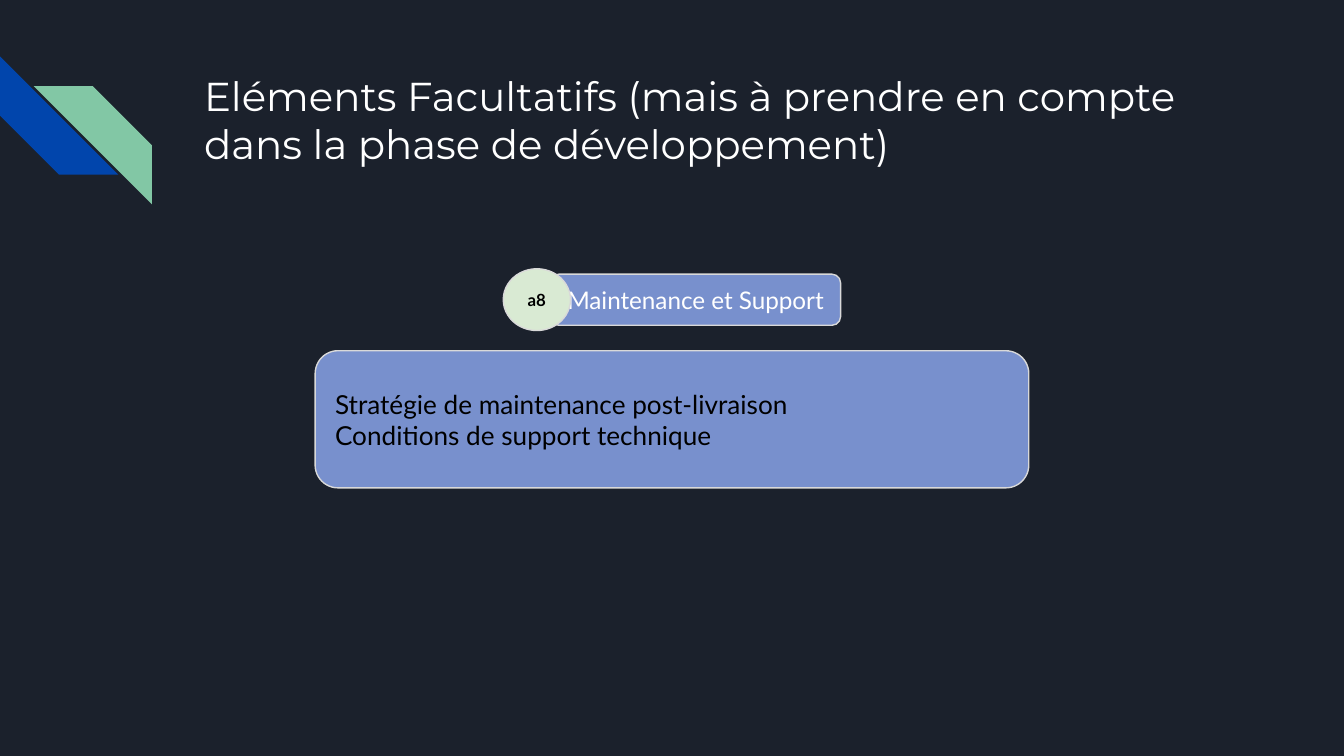
from pptx import Presentation
from pptx.dml.color import RGBColor
from pptx.enum.shapes import MSO_SHAPE as SHAPE
from pptx.enum.text import MSO_ANCHOR as ANCHOR, PP_ALIGN as ALIGN
from pptx.util import Inches, Pt

NIGHT = RGBColor(0x1B, 0x21, 0x2C)
BLUE = RGBColor(0x01, 0x45, 0xAC)
GREEN = RGBColor(0x82, 0xC7, 0xA5)
PERIWINKLE = RGBColor(0x78, 0x90, 0xCD)
MINT = RGBColor(0xD9, 0xEA, 0xD3)
GREY = RGBColor(0xD9, 0xD9, 0xD9)
WHITE = RGBColor(0xFF, 0xFF, 0xFF)
BLACK = RGBColor(0x00, 0x00, 0x00)

WIDTH = 10
HEIGHT = WIDTH * 9 / 16


def add_text(sp, lines, size, color, font="Lato", align=ALIGN.LEFT,
             anchor=ANCHOR.MIDDLE, bold=False):
    tf = sp.text_frame
    tf.word_wrap = True
    tf.vertical_anchor = anchor
    tf.margin_left = tf.margin_right = Inches(0.1)
    tf.margin_top = tf.margin_bottom = Inches(0.1)
    for i, line in enumerate(lines):
        p = tf.paragraphs[0] if i == 0 else tf.add_paragraph()
        p.alignment = align
        r = p.add_run()
        r.text = line
        r.font.name = font
        r.font.size = Pt(size)
        r.font.bold = bold
        r.font.color.rgb = color


def add_shape(s, kind, box, fill, line=None):
    sp = s.shapes.add_shape(kind, *map(Inches, box))
    sp.shadow.inherit = False
    sp.fill.solid()
    sp.fill.fore_color.rgb = fill
    if line is None:
        sp.line.fill.background()
    else:
        sp.line.color.rgb = line
        sp.line.width = Pt(0.75)
    return sp


def add_corner(s, box):
    x, y, w, h = box
    side = 0.88
    stripes = [(x, y, BLUE, 270), (x + w - side, y + h - side, GREEN, 90)]
    for left, top, color, turn in stripes:
        sp = add_shape(s, SHAPE.DIAGONAL_STRIPE, (left, top, side, side), color)
        sp.rotation = turn


def add_title(s, box, text):
    sp = s.shapes.add_textbox(*map(Inches, box))
    add_text(sp, [text], 21.6, WHITE, font="Montserrat", anchor=ANCHOR.TOP)


def add_topic(s, box, code, heading, details):
    x, y, w, h = box
    label_w, label_h = 2.16, 0.38
    badge_w, badge_h = 0.5, 0.46
    body_h = 1.02
    badge_x = x + (w - label_w - 0.35) / 2
    label = add_shape(s, SHAPE.ROUNDED_RECTANGLE,
                      (badge_x + 0.35, y + (badge_h - label_h) / 2, label_w, label_h),
                      PERIWINKLE, GREY)
    add_text(label, [heading], 13, WHITE, align=ALIGN.CENTER)
    badge = add_shape(s, SHAPE.OVAL, (badge_x, y, badge_w, badge_h), MINT, GREY)
    add_text(badge, [code], 9, BLACK, align=ALIGN.CENTER, bold=True)
    body = add_shape(s, SHAPE.ROUNDED_RECTANGLE,
                     (x, y + h - body_h, w, body_h), PERIWINKLE, GREY)
    add_text(body, details, 14, BLACK)


def main():
    prs = Presentation()
    prs.slide_width, prs.slide_height = Inches(WIDTH), Inches(HEIGHT)
    s = prs.slides.add_slide(prs.slide_layouts[6])
    s.background.fill.solid()
    s.background.fill.fore_color.rgb = NIGHT

    add_corner(s, (0, 0.42, 1.13, 1.1))
    add_title(s, (1.42, 0.43, 7.7, 1),
              "Eléments Facultatifs (mais à prendre en compte "
              "dans la phase de développement)")
    topic_w = 5.31
    add_topic(s, ((WIDTH - topic_w) / 2, 2, topic_w, 1.63), "a8",
              "Maintenance et Support",
              ["Stratégie de maintenance post-livraison",
               "Conditions de support technique"])
    prs.save("out.pptx")


if __name__ == "__main__":
    main()
